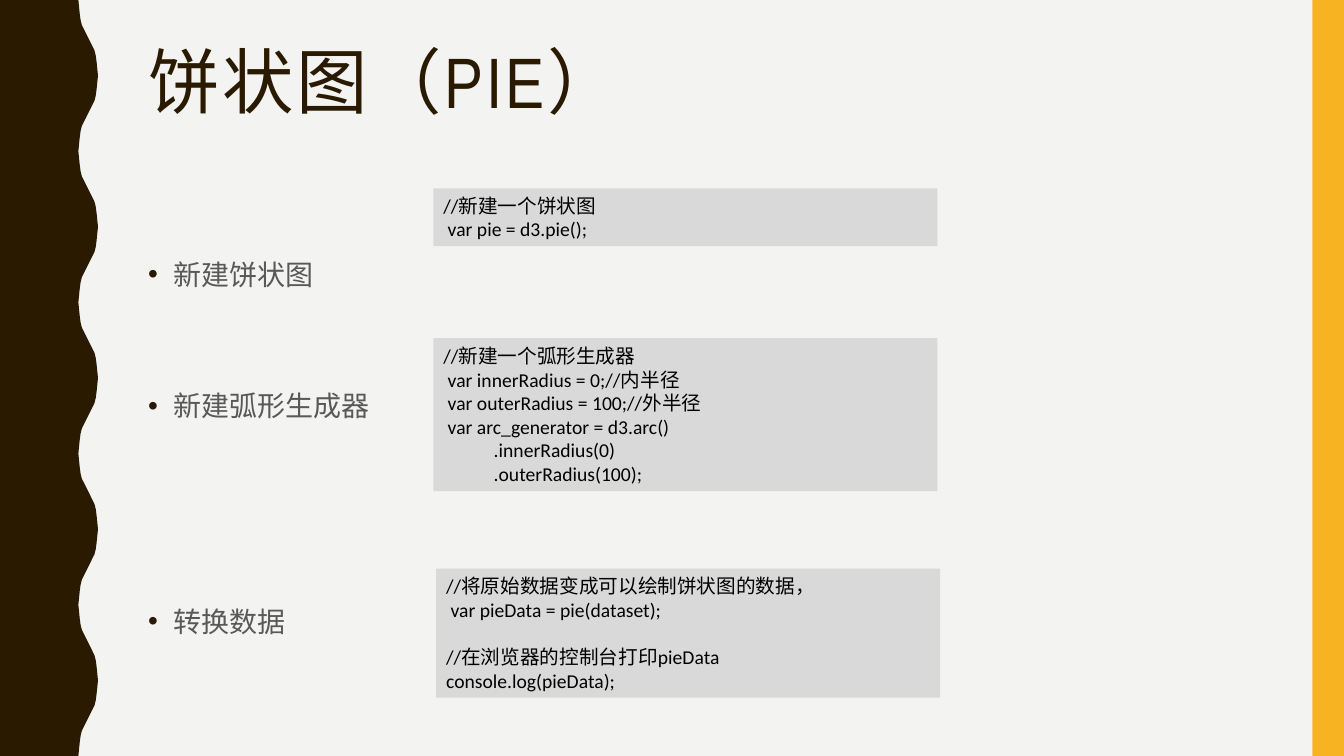
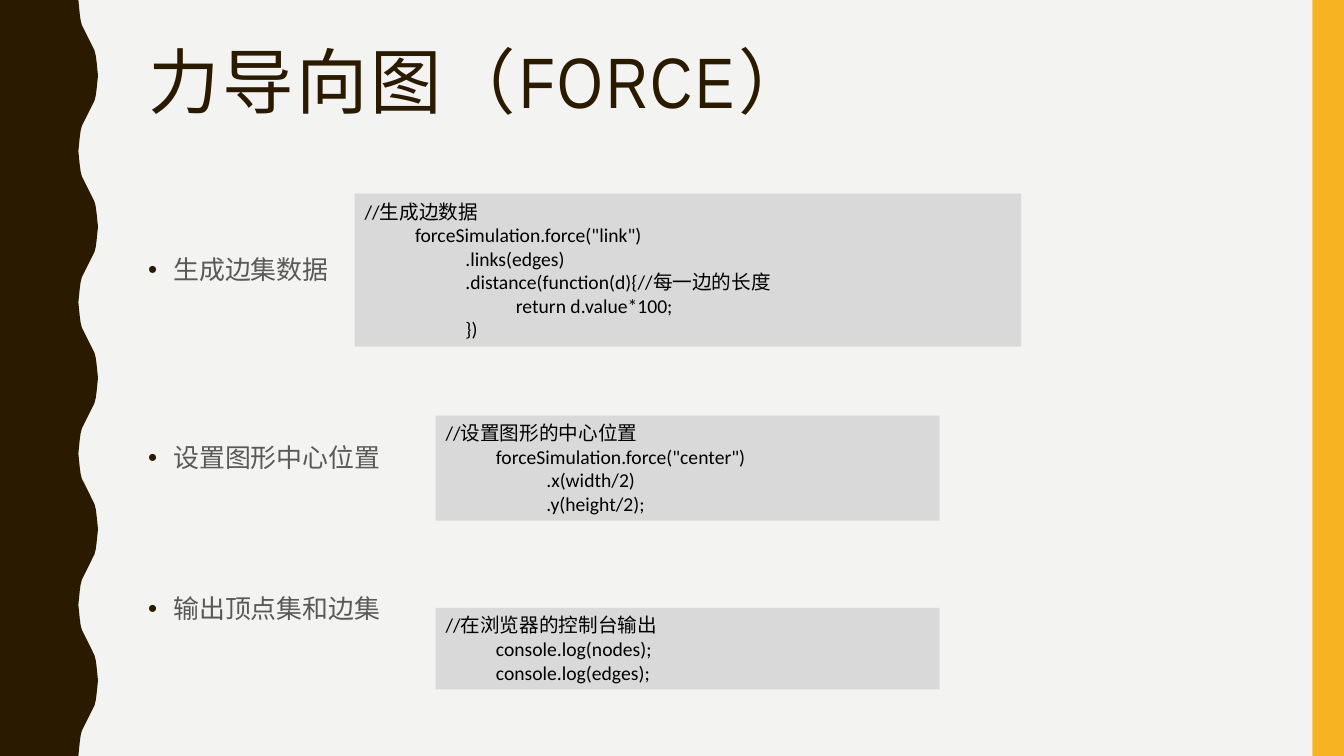
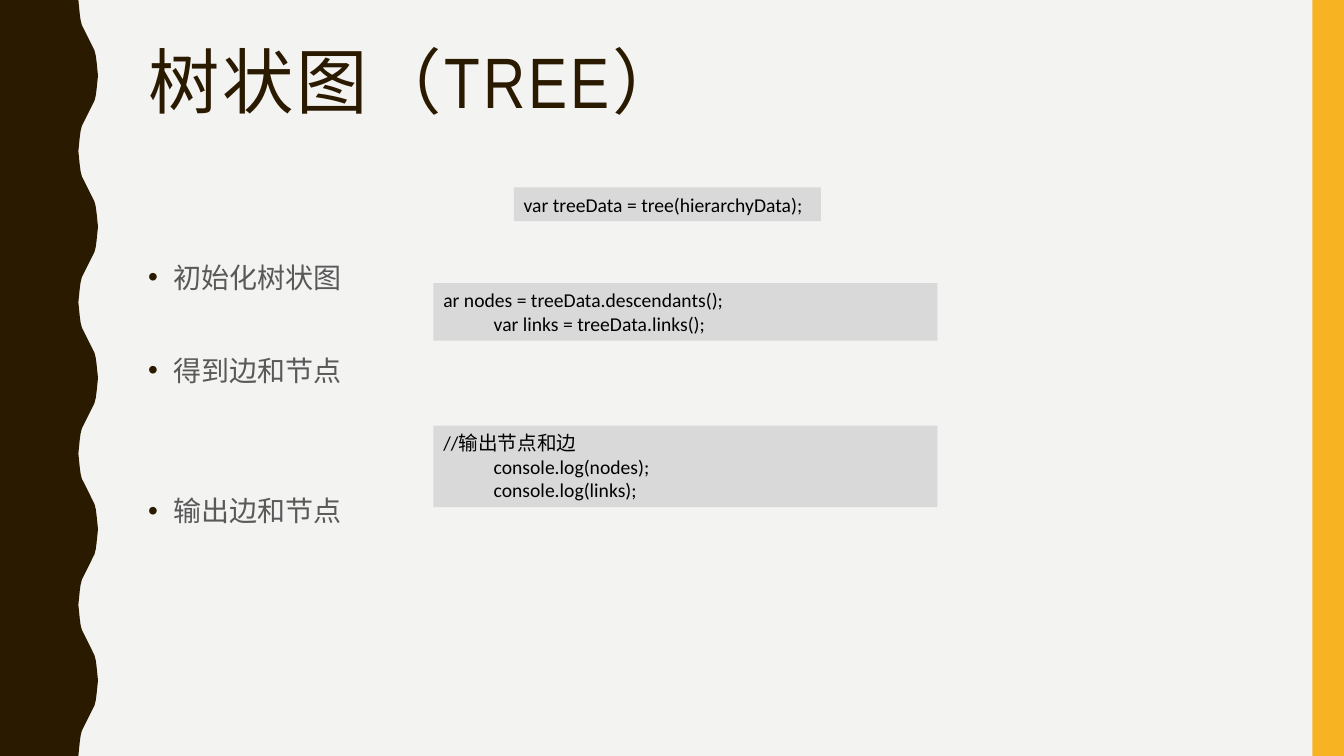
from lxml.etree import SubElement
from pptx import Presentation
from pptx.dml.color import RGBColor
from pptx.enum.shapes import MSO_SHAPE
from pptx.enum.text import MSO_ANCHOR, MSO_AUTO_SIZE, PP_ALIGN
from pptx.oxml.ns import qn
from pptx.util import Pt

COLORS = {
    "paper": "F3F3F2",
    "brown": "2A1A00",
    "amber": "F8B323",
    "code_fill": "D9D9D9",
    "code": "000000",
    "body": "595959",
}
FONTS = {
    "title": {"name": "Arial Narrow", "size": Pt(51)},
    "body": {"name": "Calibri"},
    "code": {"name": "Calibri", "size": Pt(14)},
}
TITLE_AREA = (98.6, 30.2, 801.4, 117.4)
BODY_AREA = (98.6, 180, 801.4, 283)
WIDTH, HEIGHT = 960, 540
WAVE_PERIOD = 108
CODE_LINE = 17
CODE_PADDING = 7.2


def rgb(name):
    return RGBColor.from_string(COLORS[name])


def apply(target, values):
    for name, value in values.items():
        setattr(target, name, value)


class Deck:
    def __init__(self):
        self.prs = Presentation()
        apply(self.prs, {"slide_width": Pt(WIDTH), "slide_height": Pt(HEIGHT)})
        paper = self.prs.slide_master.background.fill
        paper.solid()
        paper.fore_color.rgb = rgb("paper")
        self.layout = self.prs.slide_layouts[1]
        for placeholder, area in zip(self.layout.placeholders, (TITLE_AREA, BODY_AREA)):
            self.place(placeholder, area)
        self.slide = None

    def place(self, shape, area):
        apply(shape, dict(zip(("left", "top", "width", "height"), map(Pt, area))))

    def paint(self, shape, color):
        shape.shadow.inherit = False
        shape.fill.solid()
        shape.fill.fore_color.rgb = rgb(color)
        shape.line.fill.background()

    def style(self, font, role, color, **extra):
        apply(font, {**FONTS[role], **extra})
        font.color.rgb = rgb(color)

    def rectangle(self, area, color):
        shape = self.slide.shapes.add_shape(MSO_SHAPE.RECTANGLE, *map(Pt, area))
        self.paint(shape, color)
        return shape

    def wave(self):
        quarter = [(56, 0), (56.5, 5), (57, 10), (57.6, 14.4),
                   (58.5, 18), (60, 21), (61.5, 24), (63, 27)]
        half = quarter + [(126 - x, WAVE_PERIOD / 2 - y) for x, y in quarter[-2::-1]]
        period = half + [(x, WAVE_PERIOD - y) for x, y in half[-2::-1]]
        edge = [(x, y + top) for top in range(0, HEIGHT, WAVE_PERIOD) for x, y in period]
        outline = self.slide.shapes.build_freeform(0, 0)
        outline.add_line_segments([(Pt(x), Pt(y)) for x, y in edge + [(0, HEIGHT)]], close=True)
        shape = outline.convert_to_shape()
        self.paint(shape, "brown")
        return shape

    def decorate_layout(self):
        bands = self.wave(), self.rectangle((937.5, 0, 22.5, HEIGHT), "amber")
        for position, band in enumerate(bands, 2):
            self.layout.shapes.element.insert(position, band.element)

    def new_slide(self, title):
        first = self.slide is None
        self.slide = self.prs.slides.add_slide(self.layout)
        if first:
            self.decorate_layout()
        frame = self.slide.shapes.title.text_frame
        apply(frame, {"vertical_anchor": MSO_ANCHOR.TOP, "auto_size": MSO_AUTO_SIZE.NONE,
                      "word_wrap": True})
        heading = frame.paragraphs[0]
        apply(heading, {"alignment": PP_ALIGN.LEFT, "line_spacing": 0.9})
        run = heading.add_run()
        run.text = title
        self.style(run.font, "title", "brown")
        run.font._element.set("spc", "200")

    def bullets(self, steps, size, line_spacing):
        frame = self.slide.placeholders[1].text_frame
        frame.auto_size = MSO_AUTO_SIZE.NONE
        for index, (text, gap) in enumerate(steps):
            step = frame.add_paragraph() if index else frame.paragraphs[0]
            properties = step._p.get_or_add_pPr()
            apply_indent = {"marL": Pt(18), "indent": Pt(-18)}
            for name, value in apply_indent.items():
                properties.set(name, str(value))
            color = SubElement(properties, qn("a:buClr"))
            SubElement(color, qn("a:srgbClr"), val=COLORS["brown"])
            SubElement(properties, qn("a:buFont"), typeface="Arial")
            SubElement(properties, qn("a:buChar"), char="•")
            apply(step, {"line_spacing": line_spacing, "space_before": Pt(gap)})
            run = step.add_run()
            run.text = text
            self.style(run.font, "body", "body", size=Pt(size))

    def code(self, left, top, lines, width=360, wrap=True):
        area = (left, top, width, CODE_LINE * len(lines) + CODE_PADDING)
        frame = self.rectangle(area, "code_fill").text_frame
        apply(frame, {"word_wrap": wrap, "auto_size": MSO_AUTO_SIZE.SHAPE_TO_FIT_TEXT,
                      "vertical_anchor": MSO_ANCHOR.MIDDLE})
        gap = 0
        for index, text in enumerate(lines):
            if not text:
                gap = CODE_LINE
                continue
            line = frame.add_paragraph() if index else frame.paragraphs[0]
            stops = SubElement(line._p.get_or_add_pPr(), qn("a:tabLst"))
            for stop in (36, 72, 108):
                SubElement(stops, qn("a:tab"), pos=str(Pt(stop)), algn="l")
            apply(line, {"alignment": PP_ALIGN.LEFT, "space_before": Pt(gap)})
            run = line.add_run()
            run.text = text
            self.style(run.font, "code", "code")
            gap = 0


def main():
    deck = Deck()

    deck.new_slide("饼状图（PIE）")
    deck.bullets([("新建饼状图", 0), ("新建弧形生成器", 70), ("转换数据", 130)], 20, 1.0)
    deck.code(309.6, 134.6, ["//新建一个饼状图", " var pie = d3.pie();"])
    deck.code(309.6, 241.6, [
        "//新建一个弧形生成器",
        " var innerRadius = 0;//内半径",
        " var outerRadius = 100;//外半径",
        " var arc_generator = d3.arc()",
        " \t.innerRadius(0)",
        " \t.outerRadius(100);",
    ])
    deck.code(311.6, 406.2, [
        "//将原始数据变成可以绘制饼状图的数据，",
        " var pieData = pie(dataset);",
        "",
        "//在浏览器的控制台打印pieData",
        "console.log(pieData);",
    ])

    deck.new_slide("力导向图（FORCE）")
    deck.bullets([("生成边集数据", 0), ("设置图形中心位置", 114), ("输出顶点集和边集", 88)], 18.5, 0.9)
    deck.code(253.4, 138.4, [
        "//生成边数据",
        "    \tforceSimulation.force(\"link\")",
        "    \t\t.links(edges)",
        "    \t\t.distance(function(d){//每一边的长度",
        "    \t\t\treturn d.value*100;",
        "    \t\t})",
    ], width=476)
    deck.code(311.2, 296.8, [
        "//设置图形的中心位置",
        "    \tforceSimulation.force(\"center\")",
        "    \t\t.x(width/2)",
        "    \t\t.y(height/2);",
    ])
    deck.code(311.2, 434.2, [
        "//在浏览器的控制台输出",
        "    \tconsole.log(nodes);",
        "    \tconsole.log(edges);",
    ])

    deck.new_slide("树状图（TREE）")
    deck.bullets([("初始化树状图", 0), ("得到边和节点", 40), ("输出边和节点", 74)], 20, 1.1)
    deck.code(367, 133.8, ["var treeData = tree(hierarchyData);"], width=219.4, wrap=False)
    deck.code(309.6, 202.2, [
        "ar nodes = treeData.descendants();",
        "    \tvar links = treeData.links();",
    ])
    deck.code(309.6, 304, [
        "//输出节点和边",
        "    \tconsole.log(nodes);",
        "    \tconsole.log(links);",
    ])

    deck.prs.save("out.pptx")


if __name__ == "__main__":
    main()
